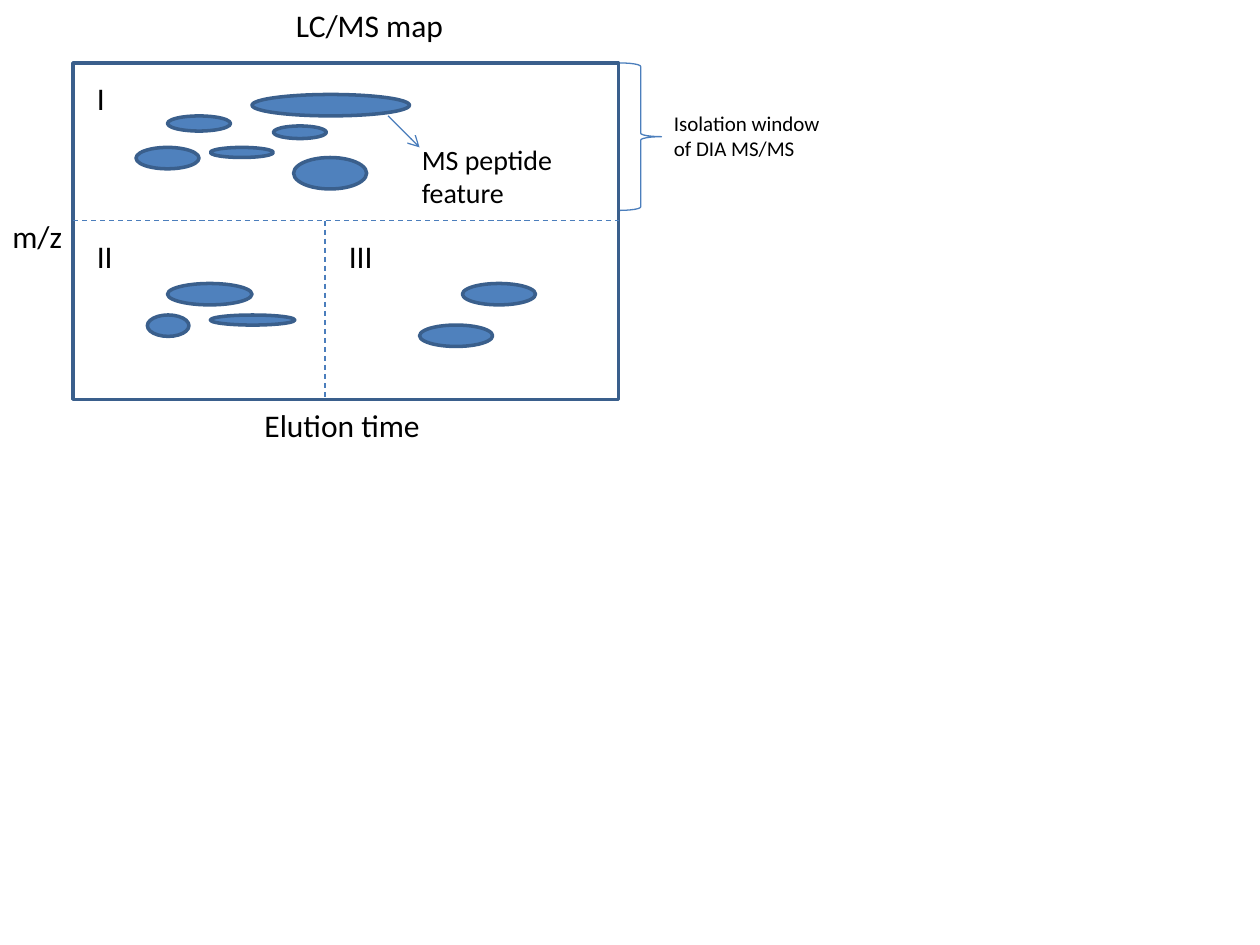
from pptx import Presentation
from pptx.util import Inches, Pt
from pptx.dml.color import RGBColor
from pptx.enum.dml import MSO_LINE
from pptx.enum.shapes import MSO_CONNECTOR, MSO_SHAPE
from pptx.enum.text import MSO_AUTO_SIZE
from pptx.oxml.ns import qn
from lxml.etree import SubElement

COLORS = {"feature": "4F81BD", "outline": "3A5F8C", "rule": "4B7EBC", "text": "000000"}


def color(name):
    return RGBColor.from_string(COLORS[name])


def add_outline(shapes, kind, left, top, width, height, line="outline", weight=2, fill=None):
    outline = shapes.add_shape(kind, Inches(left), Inches(top), Inches(width), Inches(height))
    outline.shadow.inherit = False
    if fill:
        outline.fill.solid()
        outline.fill.fore_color.rgb = color(fill)
    else:
        outline.fill.background()
    outline.line.color.rgb = color(line)
    outline.line.width = Pt(weight)


def add_rule(shapes, x1, y1, x2, y2, dashed=False, arrow=False):
    rule = shapes.add_connector(
        MSO_CONNECTOR.STRAIGHT, Inches(x1), Inches(y1), Inches(x2), Inches(y2))
    rule.line.color.rgb = color("rule")
    rule.line.width = Pt(0.75)
    if dashed:
        rule.line.dash_style = MSO_LINE.DASH
    properties = rule._element.spPr
    if arrow:
        SubElement(properties.find(qn("a:ln")), qn("a:tailEnd"), type="arrow")
    SubElement(properties, qn("a:effectLst"))


def add_label(shapes, text, left, top, width, height=0.4, size=18, wrap=False):
    label = shapes.add_textbox(Inches(left), Inches(top), Inches(width), Inches(height))
    frame = label.text_frame
    frame.text = text
    frame.word_wrap = wrap
    frame.auto_size = MSO_AUTO_SIZE.SHAPE_TO_FIT_TEXT
    for paragraph in frame.paragraphs:
        for run in paragraph.runs:
            run.font.name = "Calibri"
            run.font.size = Pt(size)
            run.font.color.rgb = color("text")


def add_region(shapes, left, top, numeral, numeral_width, features):
    add_label(shapes, numeral, left + 0.09, top + 0.08, numeral_width)
    for x, y, width, height in features:
        add_outline(shapes, MSO_SHAPE.OVAL, left + x, top + y, width, height, fill="feature")


def add_feature_callout(shapes, left, top):
    add_rule(shapes, left, top, left + 0.25, top + 0.25, arrow=True)
    add_label(shapes, "MS peptide\nfeature", left + 0.17, top + 0.16, 1.3, 0.64, size=16)


def add_map(shapes, left, top, width, height):
    middle, split = top + 1.25, left + 2
    add_outline(shapes, MSO_SHAPE.RECTANGLE, left, top, width, height)
    add_rule(shapes, left, middle, left + width, middle, dashed=True)
    add_rule(shapes, split, middle, split, top + height, dashed=True)
    add_label(shapes, "LC/MS map", left + 1.67, top - 0.5, 1.38)
    add_label(shapes, "m/z", left - 0.58, top + 1.17, 0.6)
    add_label(shapes, "Elution time", left + 1.42, top + height, 1.45)
    add_region(shapes, left, top, "I", 0.27, [
        (1.09, 0.67, 0.5, 0.08), (0.75, 0.42, 0.5, 0.12), (0.5, 0.67, 0.5, 0.17),
        (1.59, 0.5, 0.42, 0.1), (1.75, 0.75, 0.58, 0.25), (1.42, 0.25, 1.25, 0.17)])
    add_region(shapes, left, middle, "II", 0.33, [
        (0.75, 0.5, 0.67, 0.17), (1.09, 0.75, 0.67, 0.08), (0.59, 0.75, 0.33, 0.17)])
    add_region(shapes, split, middle, "III", 0.39, [
        (0.75, 0.83, 0.58, 0.17), (1.09, 0.5, 0.58, 0.17)])
    add_feature_callout(shapes, left + 2.5, top + 0.42)


def add_isolation_window(shapes, left, top, height):
    add_outline(shapes, MSO_SHAPE.RIGHT_BRACE, left, top, 0.33, height, "rule", 0.75)
    add_label(shapes, "Isolation window of DIA MS/MS", left + 0.33, top + 0.33,
              1.42, 0.5, size=12, wrap=True)


presentation = Presentation()
presentation.slide_width = Inches(10)
presentation.slide_height = Inches(7.5)
slide = presentation.slides.add_slide(presentation.slide_layouts[6])
add_map(slide.shapes, 0.58, 0.5, 4.33, 2.67)
add_isolation_window(slide.shapes, 4.92, 0.5, 1.17)
presentation.save("out.pptx")
